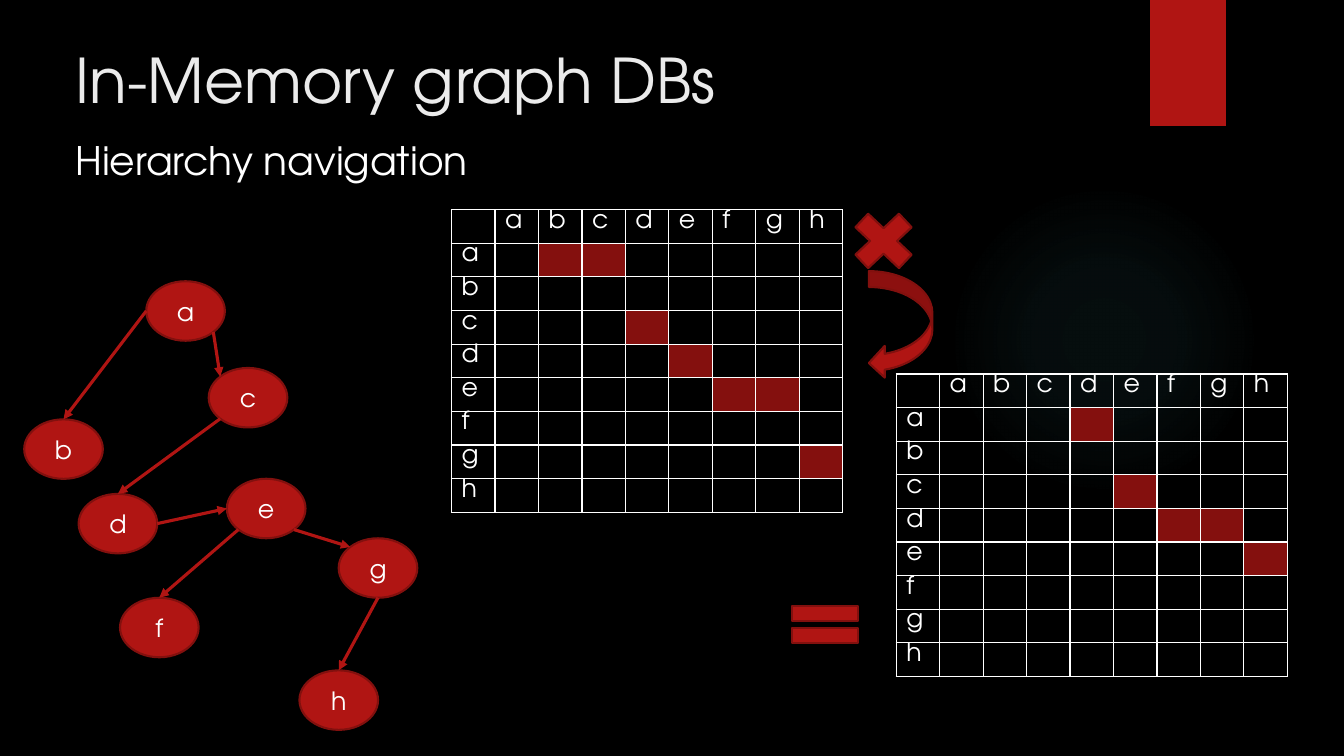
from dataclasses import dataclass

from lxml import etree
from pptx import Presentation
from pptx import util as u
from pptx.dml import color as dml
from pptx.enum import shapes, text
from pptx.oxml import ns, parse_xml

WIDTH, HEIGHT = u.Inches(13.333), u.Inches(7.5)
FONT = "TeX Gyre Adventor"
COLORS = {
    "back": "000000",
    "red": "B01513",
    "outline": "82100E",
    "mark": "84100E",
    "white": "FFFFFF",
    "title": "EBEBEB",
    "glow": "50B9C1",
}
LETTERS = "abcdefgh"
NODE_WIDTH, NODE_HEIGHT = 5.85, 7.87
CELL_WIDTH, CELL_HEIGHT = 3.235, 4.45
DIAGONAL = 0.5 ** 0.5
SIDES = {
    "left": (-1, 0),
    "right": (1, 0),
    "top": (0, -1),
    "bottom": (0, 1),
    "top left": (-DIAGONAL, -DIAGONAL),
    "bottom left": (-DIAGONAL, DIAGONAL),
    "bottom right": (DIAGONAL, DIAGONAL),
}


@dataclass(frozen=True)
class Area:
    """Left, top, width and height in percent of the slide."""

    left: float
    top: float
    width: float
    height: float

    def lengths(self):
        return across(self.left), down(self.top), across(self.width), down(self.height)


@dataclass(frozen=True)
class Node:
    name: str
    left: float
    top: float

    def point(self, side: str) -> tuple:
        right, below = SIDES[side]
        return (
            across(self.left + NODE_WIDTH * (1 + right) / 2),
            down(self.top + NODE_HEIGHT * (1 + below) / 2),
        )


@dataclass(frozen=True)
class Edge:
    start: str
    end: str
    leaves: str
    enters: str


@dataclass(frozen=True)
class Symbol:
    kind: shapes.MSO_SHAPE
    area: Area


NODES = {
    node.name: node
    for node in (
        Node("a", 10.88, 37.2),
        Node("b", 1.8, 55.47),
        Node("c", 15.53, 48.67),
        Node("d", 5.85, 65.33),
        Node("e", 16.88, 63.33),
        Node("f", 8.93, 79.07),
        Node("g", 25.2, 71.2),
        Node("h", 22.28, 88.67),
    )
}
EDGES = (
    Edge("a", "b", "left", "top"),
    Edge("a", "c", "bottom right", "top left"),
    Edge("c", "d", "bottom left", "top"),
    Edge("d", "e", "right", "left"),
    Edge("e", "f", "bottom left", "top"),
    Edge("e", "g", "bottom right", "top left"),
    Edge("g", "h", "bottom", "top"),
)
SYMBOLS = (
    Symbol(shapes.MSO_SHAPE.MATH_MULTIPLY, Area(62.63, 26.67, 6.23, 10.4)),
    Symbol(shapes.MSO_SHAPE.MATH_EQUAL, Area(58.05, 78.4, 6.68, 8.4)),
    Symbol(shapes.MSO_SHAPE.CURVED_LEFT_ARROW, Area(64.65, 35.87, 4.73, 14.27)),
)


def across(share: float) -> u.Emu:
    return u.Emu(round(WIDTH * share / 100))


def down(share: float) -> u.Emu:
    return u.Emu(round(HEIGHT * share / 100))


def rgb(name: str) -> dml.RGBColor:
    return dml.RGBColor.from_string(COLORS[name])


def write(frame, words: str, *, size: float = 18, color: str = "white",
          align=text.PP_ALIGN.LEFT, anchor=text.MSO_ANCHOR.TOP) -> None:
    frame.word_wrap = True
    frame.vertical_anchor = anchor
    para = frame.paragraphs[0]
    para.alignment = align
    span = para.add_run()
    span.text = words
    span.font.name = FONT
    span.font.size = u.Pt(size)
    span.font.color.rgb = rgb(color)


def add_shape(page, kind, area: Area, outline: str = ""):
    shape = page.shapes.add_shape(kind, *area.lengths())
    shape.shadow.inherit = False
    shape.fill.solid()
    shape.fill.fore_color.rgb = rgb("red")
    if outline:
        shape.line.color.rgb = rgb(outline)
        shape.line.width = u.Pt(1.5)
    else:
        shape.line.fill.background()
    return shape


def add_glow(page) -> None:
    glow = add_shape(page, shapes.MSO_SHAPE.OVAL, Area(70.58, 24.4, 23.1, 41.07))
    stops = "".join(
        f'<a:gs pos="{place * 1000}"><a:srgbClr val="{COLORS["glow"]}">'
        f'<a:alpha val="{alpha * 1000}"/></a:srgbClr></a:gs>'
        for place, alpha in ((0, 7), (36, 6), (69, 0))
    )
    gradient = parse_xml(
        f'<a:gradFill {ns.nsdecls("a")} rotWithShape="1"><a:gsLst>{stops}</a:gsLst>'
        '<a:path path="circle"><a:fillToRect l="50000" t="50000" r="50000" b="50000"/>'
        "</a:path></a:gradFill>"
    )
    properties = glow._element.spPr
    properties.replace(properties.find(ns.qn("a:solidFill")), gradient)


def add_node(page, node: Node) -> None:
    area = Area(node.left, node.top, NODE_WIDTH, NODE_HEIGHT)
    oval = add_shape(page, shapes.MSO_SHAPE.OVAL, area, "outline")
    write(oval.text_frame, node.name, align=text.PP_ALIGN.CENTER,
          anchor=text.MSO_ANCHOR.MIDDLE)


def add_edge(page, edge: Edge) -> None:
    start = NODES[edge.start].point(edge.leaves)
    end = NODES[edge.end].point(edge.enters)
    arrow = page.shapes.add_connector(shapes.MSO_CONNECTOR.STRAIGHT, *start, *end)
    arrow.line.color.rgb = rgb("red")
    arrow.line.width = u.Pt(2.25)
    etree.SubElement(arrow.line._get_or_add_ln(), ns.qn("a:tailEnd"), type="triangle")
    etree.SubElement(arrow._element.spPr, ns.qn("a:effectLst"))


def add_matrix(page, left: float, top: float, links: set) -> None:
    count = len(LETTERS) + 1
    area = Area(left, top, CELL_WIDTH * count, CELL_HEIGHT * count)
    table = page.shapes.add_table(count, count, *area.lengths()).table
    table.first_row = table.horz_banding = False
    for line in range(count):
        table.rows[line].height = down(CELL_HEIGHT)
        table.columns[line].width = across(CELL_WIDTH)
    names = ("", *LETTERS)
    for row, start in enumerate(names):
        for column, end in enumerate(names):
            cell = table.cell(row, column)
            cell.margin_top = cell.margin_bottom = 0
            for side in "LRTB":
                cell._tc.get_or_add_tcPr().append(parse_xml(
                    f'<a:ln{side} {ns.nsdecls("a")} w="12700"><a:solidFill>'
                    f'<a:srgbClr val="{COLORS["white"]}"/></a:solidFill></a:ln{side}>'
                ))
            if (start, end) in links:
                cell.fill.solid()
                cell.fill.fore_color.rgb = rgb("mark")
            else:
                cell.fill.background()
            if bool(start) != bool(end):
                write(cell.text_frame, start or end)


def main() -> None:
    deck = Presentation()
    deck.slide_width, deck.slide_height = WIDTH, HEIGHT
    page = deck.slides.add_slide(deck.slide_layouts[5])
    page.background.fill.solid()
    page.background.fill.fore_color.rgb = rgb("back")
    add_glow(page)
    add_shape(page, shapes.MSO_SHAPE.RECTANGLE, Area(85.58, 0, 5.63, 16.67))

    title = page.shapes.title
    title.left, title.top, title.width, title.height = Area(4.88, 1.07, 77.18, 14.93).lengths()
    write(title.text_frame, "In-Memory graph DBs", size=44, color="title",
          anchor=text.MSO_ANCHOR.BOTTOM)
    box = page.shapes.add_textbox(*Area(4.88, 17.33, 35.93, 7.6).lengths())
    write(box.text_frame, "Hierarchy navigation", size=28)

    one_step = {(edge.start, edge.end) for edge in EDGES}
    two_steps = {(a, d) for a, b in one_step for c, d in one_step if b == c}
    add_matrix(page, 33.6, 27.73, one_step)
    add_matrix(page, 66.68, 49.47, two_steps)
    for node in NODES.values():
        add_node(page, node)
    for edge in EDGES:
        add_edge(page, edge)
    for symbol in SYMBOLS:
        add_shape(page, symbol.kind, symbol.area, "outline")
    deck.save("out.pptx")


if __name__ == "__main__":
    main()
